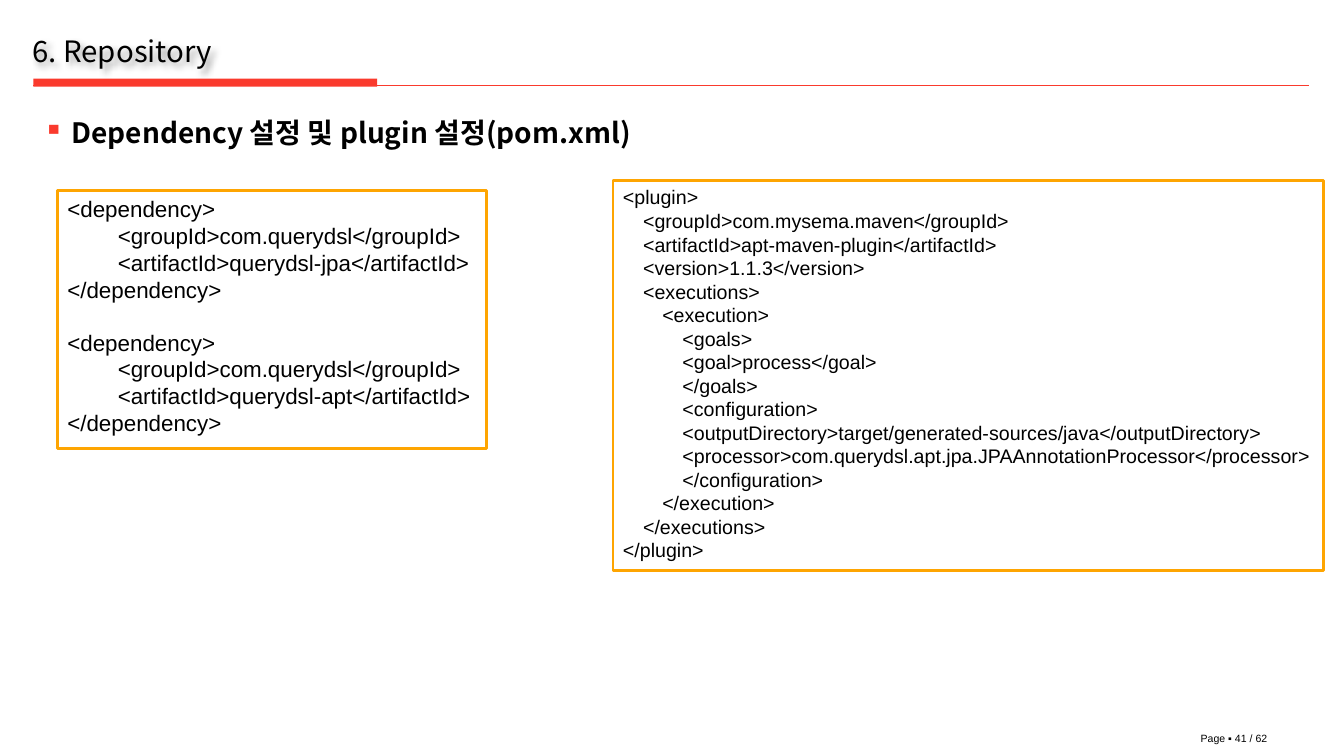
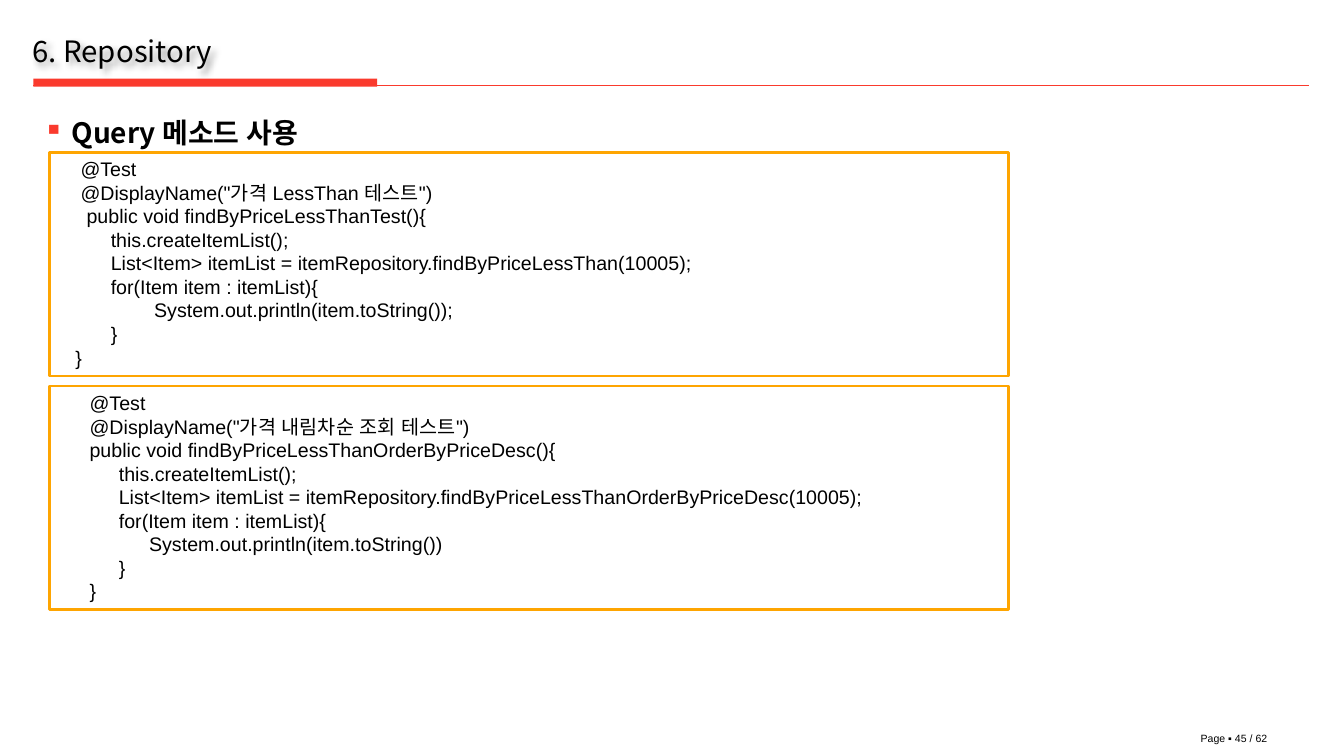
"""Build two slides on repositories, each with a heading and boxed code."""
from lxml import etree
from pptx import Presentation
from pptx import util as u
from pptx.dml.color import RGBColor
from pptx.enum import shapes, text
from pptx.oxml import parse_xml
from pptx.oxml.ns import nsdecls, qn

PX = 9144
COLORS = {"ink": "000000", "paper": "FFFFFF", "accent": "FA3A2D", "frame": "FEA501"}
HEAD_FONT, CODE_FONT = "Noto Sans CJK KR", "Arial"
TITLE = "6. Repository"
PAGES = 62


def dependency(artifact):
    return [
        (0, "<dependency>"),
        (50, "<groupId>com.querydsl</groupId>"),
        (50, f"<artifactId>{artifact}</artifactId>"),
        (0, "</dependency>"),
    ]


PLUGIN = [
    (0, "<plugin>"),
    (20, "<groupId>com.mysema.maven</groupId>"),
    (20, "<artifactId>apt-maven-plugin</artifactId>"),
    (20, "<version>1.1.3</version>"),
    (20, "<executions>"),
    (39, "<execution>"),
    (59, "<goals>"),
    (59, "<goal>process</goal>"),
    (59, "</goals>"),
    (59, "<configuration>"),
    (59, "<outputDirectory>target/generated-sources/java</outputDirectory>"),
    (59, "<processor>com.querydsl.apt.jpa.JPAAnnotationProcessor</processor>"),
    (59, "</configuration>"),
    (39, "</execution>"),
    (20, "</executions>"),
    (0, "</plugin>"),
]
LESS_THAN = [
    (21, "@Test"),
    (21, '@DisplayName("가격 LessThan 테스트")'),
    (27, "public void findByPriceLessThanTest(){"),
    (51, "this.createItemList();"),
    (51, "List<Item> itemList = itemRepository.findByPriceLessThan(10005);"),
    (51, "for(Item item : itemList){"),
    (94, "System.out.println(item.toString());"),
    (51, "}"),
    (16, "}"),
]
ORDER_DESC = [
    (30, "@Test"),
    (30, '@DisplayName("가격 내림차순 조회 테스트")'),
    (30, "public void findByPriceLessThanOrderByPriceDesc(){"),
    (59, "this.createItemList();"),
    (59, "List<Item> itemList = itemRepository.findByPriceLessThanOrderByPriceDesc(10005);"),
    (59, "for(Item item : itemList){"),
    (89, "System.out.println(item.toString())"),
    (59, "}"),
    (30, "}"),
]
SLIDES = [
    {"page": 41, "heading": "Dependency 설정 및 plugin 설정(pom.xml)", "code": [
        ((608, 179, 705, 387), 14, [PLUGIN]),
        ((57, 189, 426, 256), 16, [dependency("querydsl-jpa"), dependency("querydsl-apt")]),
    ]},
    {"page": 45, "heading": "Query 메소드 사용", "code": [
        ((49, 383, 951, 222), 14, [ORDER_DESC]),
        ((49, 151, 951, 222), 14, [LESS_THAN]),
    ]},
]


def px(*values):
    return [u.Emu(v * PX) for v in values]


def color(name):
    return RGBColor.from_string(COLORS[name])


def add_run(p, words, size, font, bold=False):
    r = p.add_run()
    r.text = words
    r.font.size, r.font.name, r.font.bold = u.Pt(size), font, bold
    r.font.color.rgb = color("ink")
    etree.SubElement(r._r.get_or_add_rPr(), qn("a:ea"), typeface=font)


def add_text(s, box, words, size, font, bold=False, margins=(0, 0)):
    sp = s.shapes.add_textbox(*px(*box))
    tf = sp.text_frame
    tf.word_wrap = True
    tf.margin_left = tf.margin_right = px(margins[0])[0]
    tf.margin_top = tf.margin_bottom = px(margins[1])[0]
    add_run(tf.paragraphs[0], words, size, font, bold)
    return sp


def add_rect(s, box, fill, line=None):
    sp = s.shapes.add_shape(shapes.MSO_SHAPE.RECTANGLE, *px(*box))
    sp.shadow.inherit = False
    sp.fill.solid()
    sp.fill.fore_color.rgb = color(fill)
    if line:
        sp.line.color.rgb, sp.line.width = color(line), u.Pt(2)
    else:
        sp.line.fill.background()
    return sp


def add_frame(s, page):
    add_text(s, (1181, 721, 150, 27), f"Page ▪ {page} / {PAGES}", 7.5, CODE_FONT, margins=(10, 5))
    add_rect(s, (33, 78, 341, 8), "accent")
    rule = s.shapes.add_connector(shapes.MSO_CONNECTOR.STRAIGHT, *px(33, 85, 1298, 85))
    rule.line.color.rgb, rule.line.width = color("accent"), u.Pt(0.75)
    etree.SubElement(rule._element.spPr, qn("a:effectLst"))
    title = add_text(s, (32, 32, 1242, 63), TITLE, 21, HEAD_FONT, margins=(0, 5))
    title.text_frame.paragraphs[0].line_spacing = 0.9
    title._element.spPr.append(parse_xml(
        f'<a:effectLst {nsdecls("a")}><a:outerShdw blurRad="50800" dist="38100" dir="2700000">'
        f'<a:srgbClr val="{COLORS["ink"]}"><a:alpha val="40000"/></a:srgbClr>'
        '</a:outerShdw></a:effectLst>'))


def add_heading(s, words):
    sp = add_text(s, (43, 115, 1243, 50), words, 20, HEAD_FONT, bold=True)
    pPr = sp.text_frame.paragraphs[0]._p.get_or_add_pPr()
    pPr.set("marL", str(28 * PX))
    pPr.set("indent", str(-28 * PX))
    bullet_color = etree.SubElement(pPr, qn("a:buClr"))
    etree.SubElement(bullet_color, qn("a:srgbClr"), val=COLORS["accent"])
    etree.SubElement(pPr, qn("a:buChar"), char="▪")


def add_code(s, box, size, blocks):
    tf = add_rect(s, box, "paper", "frame").text_frame
    tf.word_wrap = True
    tf.vertical_anchor = text.MSO_ANCHOR.TOP
    p = None
    for block in blocks:
        for i, (indent, words) in enumerate(block):
            first = p is None
            p = tf.paragraphs[0] if first else tf.add_paragraph()
            p.alignment = text.PP_ALIGN.LEFT
            p._p.get_or_add_pPr().set("marL", str(indent * PX))
            if i == 0 and not first:
                p.space_before = u.Pt(size * 1.15)
            add_run(p, words, size, CODE_FONT)


def main():
    prs = Presentation()
    prs.slide_width, prs.slide_height = u.Inches(13.33), u.Inches(7.5)
    for content in SLIDES:
        s = prs.slides.add_slide(prs.slide_layouts[6])
        add_frame(s, content["page"])
        add_heading(s, content["heading"])
        for box, size, blocks in content["code"]:
            add_code(s, box, size, blocks)
    prs.save("out.pptx")


if __name__ == "__main__":
    main()
